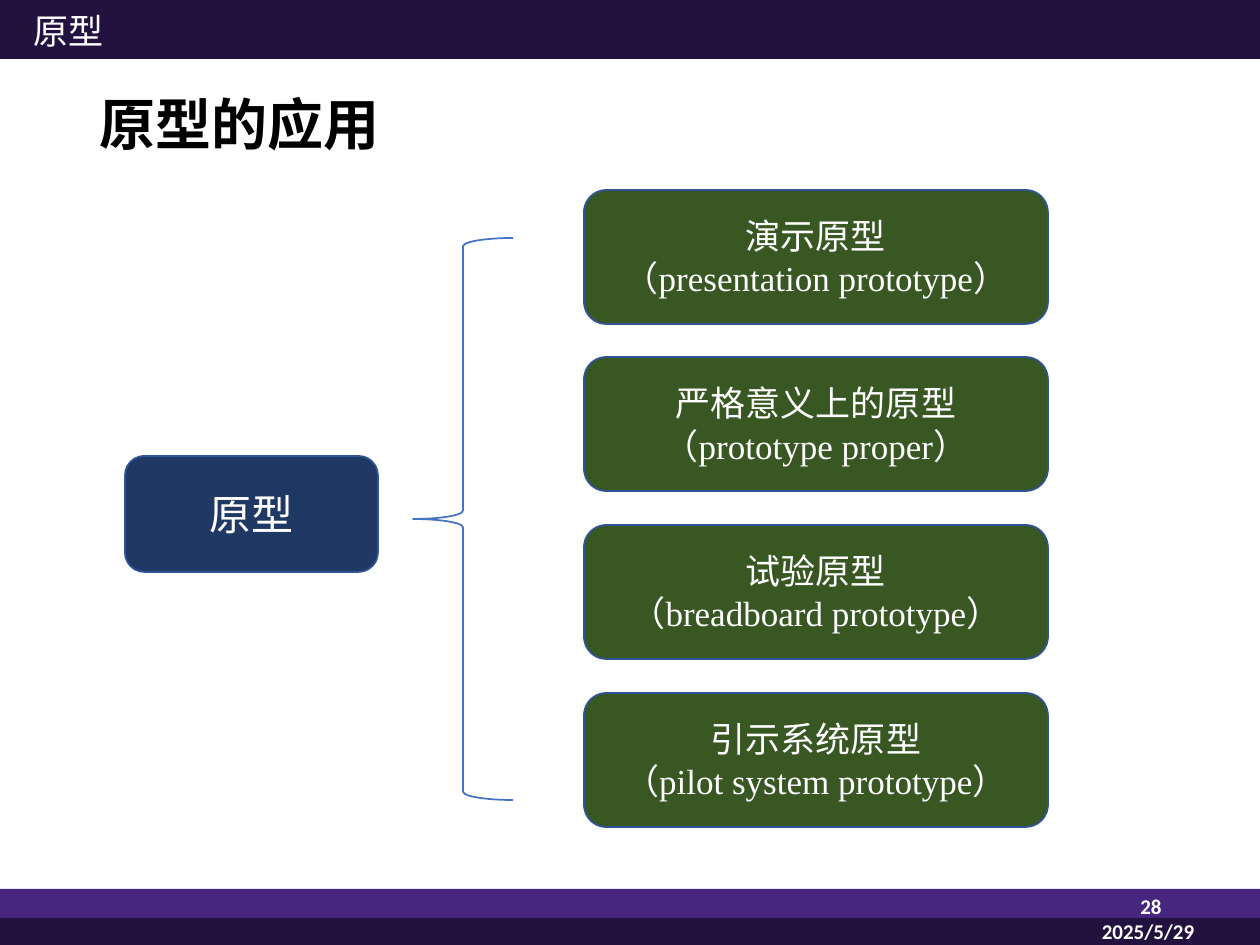
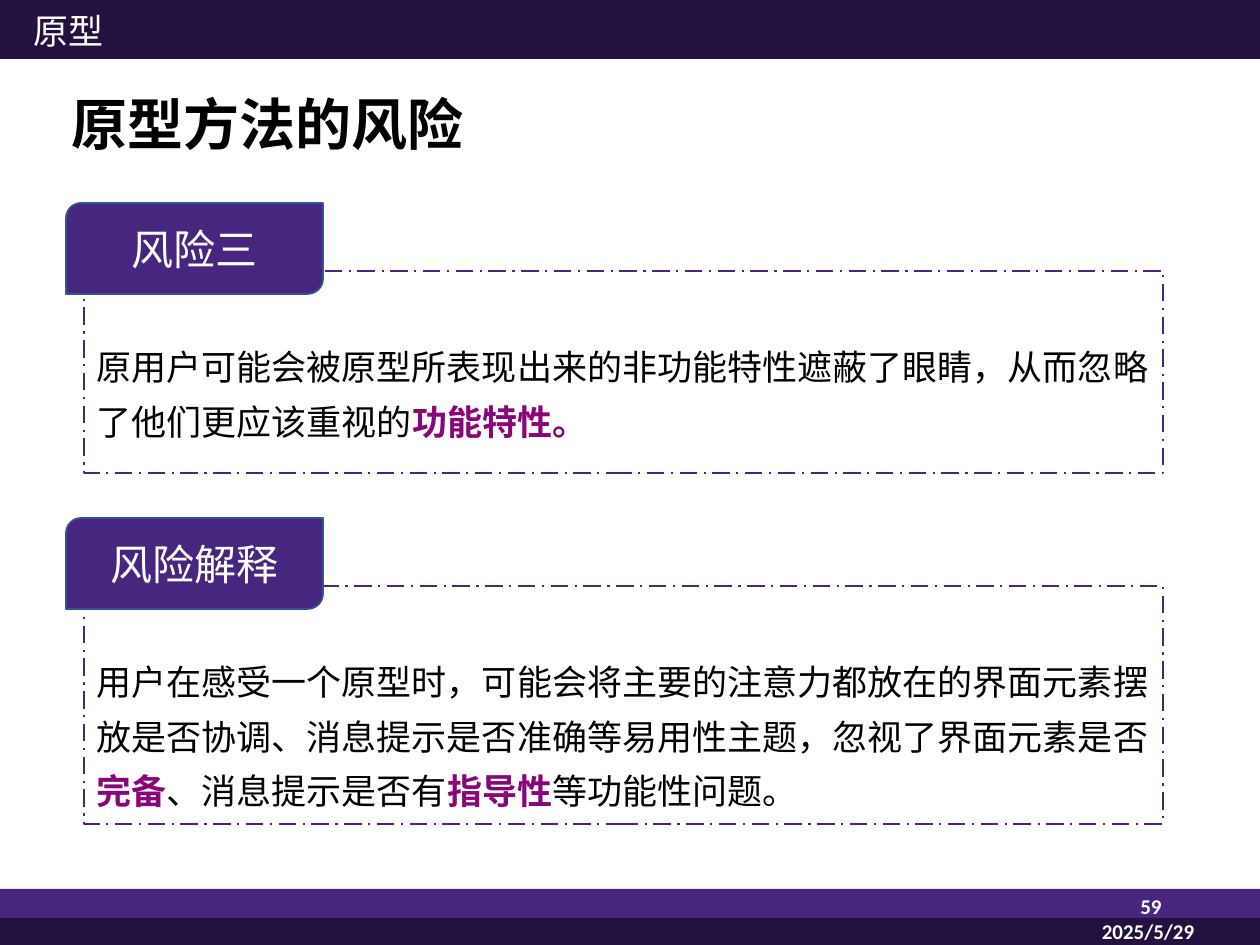
from dataclasses import dataclass

from lxml import etree
from pptx import Presentation
from pptx.dml.color import RGBColor as RGB
from pptx.enum.dml import MSO_LINE
from pptx.enum.shapes import MSO_SHAPE as SHAPE
from pptx.enum.text import MSO_ANCHOR as ANCHOR, MSO_AUTO_SIZE as AUTO, PP_ALIGN as ALIGN
from pptx.oxml.ns import qn
from pptx.util import Emu, Pt


@dataclass(frozen=True)
class Theme:
    purple: str = "472680"
    dark: str = "231240"
    navy: str = "203864"
    green: str = "385723"
    outline: str = "2F5597"
    brace: str = "4472C4"
    accent: str = "88057A"
    white: str = "FFFFFF"
    black: str = "000000"
    cjk: str = "Noto Sans CJK SC"
    serif: str = "Times New Roman"
    sans: str = "Calibri"
    title: int = 32
    label: int = 24
    body: int = 20
    footer: int = 12


T = Theme()
PX = 914400 / 126


def write(sp, paragraphs, size, color, name=T.cjk, bold=False, align=ALIGN.LEFT, spacing=None, **frame):
    """Fill sp with paragraphs, each a list of (text, overrides of name, bold, color)."""
    tf = sp.text_frame
    for key, value in {"word_wrap": True, "auto_size": AUTO.NONE, **frame}.items():
        setattr(tf, key, value)
    for i, runs in enumerate(paragraphs):
        p = tf.add_paragraph() if i else tf.paragraphs[0]
        p.alignment = align
        if spacing:
            p.line_spacing = spacing
        for text, changes in runs:
            fmt = {"name": name, "size": Pt(size), "bold": bold, "color": color, **changes}
            r = p.add_run()
            r.text = text
            r.font.color.rgb = RGB.from_string(fmt.pop("color"))
            for key, value in fmt.items():
                setattr(r.font, key, value)
            etree.SubElement(r.font._element, qn("a:ea"), typeface=T.cjk)


def add(s, kind, box, fill=None, line=None, width=1):
    """Add a shape, or a text box when kind is None, at box in px."""
    at = [Emu(round(v * PX)) for v in box]
    if kind is None:
        return s.shapes.add_textbox(*at)
    sp = s.shapes.add_shape(kind, *at)
    sp.shadow.inherit = False
    for part, color in ((sp.fill, fill), (sp.line.fill, line)):
        if color:
            part.solid()
            part.fore_color.rgb = RGB.from_string(color)
        else:
            part.background()
    if line:
        sp.line.width = Pt(width)
    return sp


prs = Presentation()
prs.slide_width, prs.slide_height = Emu(round(1260 * PX)), Emu(round(945 * PX))

# Title, bands and footer of every slide
slides = []
for title, left, number in (("原型的应用", 87, "28"), ("原型方法的风险", 59, "59")):
    s = prs.slides.add_slide(prs.slide_layouts[5])
    slides.append(s)
    sp = s.shapes.title
    for key, px in {"left": left, "top": 82, "width": 1086, "height": 91}.items():
        setattr(sp, key, Emu(round(px * PX)))
    write(sp, [[(title, {})]], T.title, T.black, bold=True, spacing=0.9,
          vertical_anchor=ANCHOR.MIDDLE)
    for top, height, color in ((889, 30, T.purple), (918, 27, T.dark), (0, 59, T.dark)):
        add(s, SHAPE.RECTANGLE, (0, top, 1260, height), color)
    for text, box, align in ((number, (1092, 887, 82, 76), ALIGN.RIGHT),
                             ("2025/5/29", (1076, 912, 144, 50), ALIGN.CENTER)):
        write(add(s, None, box), [[(text, {})]], T.footer, T.white, T.sans, True, align)
    write(add(s, None, (21, 3, 96, 55)), [[("原型", {})]], T.body, T.white,
          word_wrap=False, auto_size=AUTO.SHAPE_TO_FIT_TEXT)

applications, risks = slides
centred = {"align": ALIGN.CENTER, "vertical_anchor": ANCHOR.MIDDLE}

# Slide 1: kinds of prototype
sp = add(applications, SHAPE.ROUNDED_RECTANGLE, (125, 456, 253, 116), T.navy, T.outline)
write(sp, [[("原型", {})]], T.label, T.white, **centred)
add(applications, SHAPE.LEFT_BRACE, (413, 238, 100, 562), line=T.brace)
kinds = (
    ("演示原型", "presentation prototype"),
    ("严格意义上的原型", "prototype proper"),
    ("试验原型", "breadboard prototype"),
    ("引示系统原型", "pilot system prototype"),
)
for i, (chinese, english) in enumerate(kinds):
    sp = add(applications, SHAPE.ROUNDED_RECTANGLE, (584, 190 + i * 503 // 3, 464, 134),
             T.green, T.outline)
    write(sp, [[(chinese, {})], [("（", {}), (english, {"name": T.serif}), ("）", {})]],
          T.body, T.white, **centred)

# Slide 2: the risk and its explanation
strong = {"color": T.accent, "bold": True}
cards = (
    ("风险三", 203, 202, [
        [("原用户可能会被原型所表现出来的非功能特性遮蔽了眼睛，从而忽略了他们更应该重视的", {}),
         ("功能特性。", strong)],
    ]),
    ("风险解释", 518, 238, [
        [("用户在感受一个原型时，可能会将主要的注意力都放在的界面元素摆放是否协调、"
          "消息提示是否准确等易用性主题，忽视了界面元素是否", {})],
        [("完备", strong), ("、消息提示是否有", {}), ("指导性", strong), ("等功能性问题。", {})],
    ]),
)
for label, top, height, paragraphs in cards:
    sp = add(risks, SHAPE.RECTANGLE, (84, top + 68, 1079, height), line=T.purple, width=1.25)
    sp.line.dash_style = MSO_LINE.LONG_DASH_DOT
    write(sp, paragraphs, T.body, T.black, spacing=1.3,
          vertical_anchor=ANCHOR.TOP, margin_top=Emu(round(62 * PX)))
    sp = add(risks, SHAPE.ROUND_2_DIAG_RECTANGLE, (66, top, 257, 91), T.purple, T.outline)
    write(sp, [[(label, {})]], T.label, T.white, T.serif, **centred)

prs.save("out.pptx")
